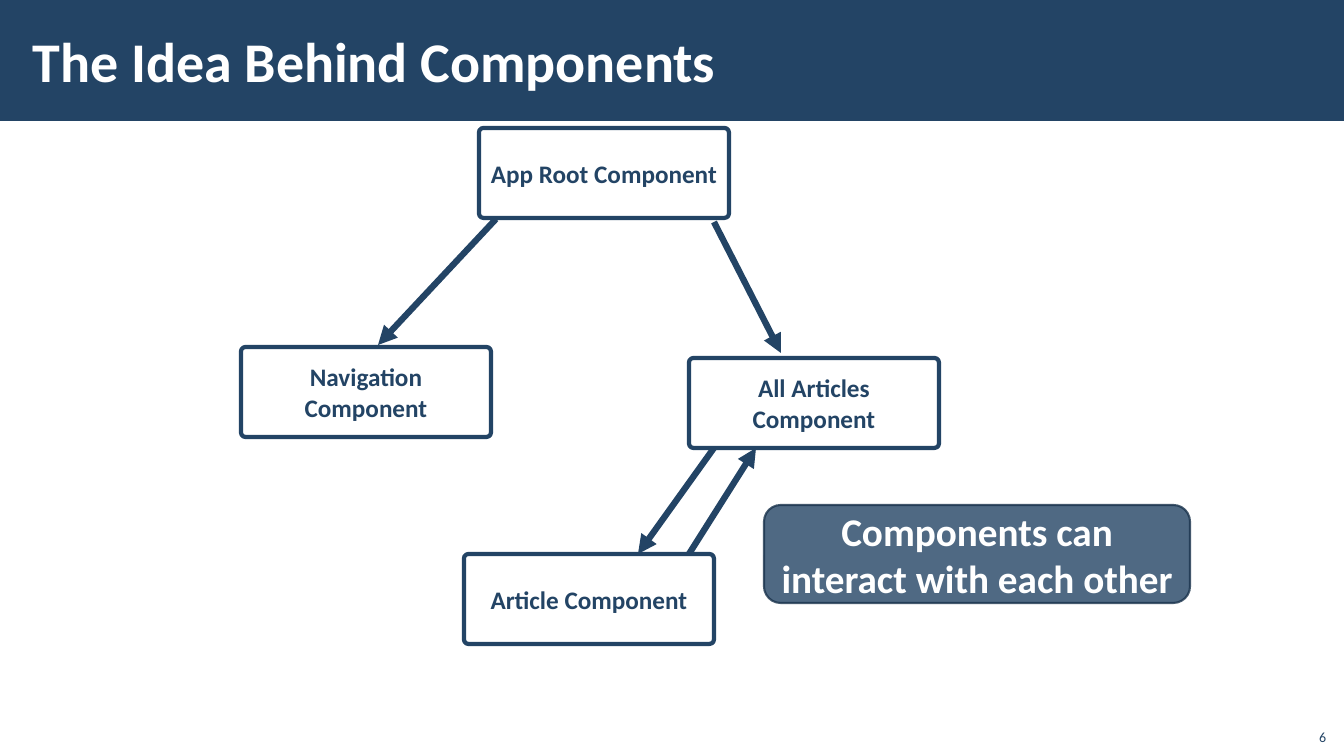
from dataclasses import dataclass

from lxml import etree
from pptx import Presentation, util as u
from pptx.dml.color import RGBColor
from pptx.enum import shapes, text
from pptx.oxml.ns import qn

SCALE = 914400 / 100.8  # EMU per pixel


@dataclass(frozen=True)
class Theme:
    font: str = "Calibri"
    navy: str = "234465"
    edge: str = "1A334C"
    white: str = "FFFFFF"
    title_size: int = 40
    callout_size: int = 28
    node_size: int = 18
    number_size: int = 10


THEME = Theme()
NODE_SIZE = (250, 90)


def px(value):
    return u.Emu(round(value * SCALE))


def box(left, top, width, height):
    return [px(value) for value in (left, top, width, height)]


def set_alpha(color_format, percent):
    color = color_format._xFill.find(".//" + qn("a:srgbClr"))
    etree.SubElement(color, qn("a:alpha"), val=str(percent * 1000))


def paint(fill, color, opacity=100):
    fill.solid()
    fill.fore_color.rgb = RGBColor.from_string(color)
    if opacity < 100:
        set_alpha(fill.fore_color, opacity)


def write(shape, words, size, color, align, anchor=text.MSO_ANCHOR.MIDDLE, bold=True):
    frame = shape.text_frame
    frame.word_wrap = True
    frame.vertical_anchor = anchor
    paragraph = frame.paragraphs[0]
    paragraph.alignment = align
    run = paragraph.add_run()
    run.text = words
    run.font.name = THEME.font
    run.font.size = u.Pt(size)
    run.font.bold = bold
    run.font.color.rgb = RGBColor.from_string(color)
    return frame


def add_panel(slide, kind, place, fill, opacity=100, line=None, width=0,
              line_opacity=100, adjustments=()):
    shape = slide.shapes.add_shape(kind, *box(*place))
    shape.shadow.inherit = False
    paint(shape.fill, fill, opacity)
    if line:
        paint(shape.line.fill, line, line_opacity)
        shape.line.width = u.Pt(width)
    else:
        shape.line.fill.background()
    for index, value in enumerate(adjustments):
        shape.adjustments[index] = value
    return shape


def add_node(slide, words, left, top):
    node = add_panel(slide, shapes.MSO_SHAPE.ROUNDED_RECTANGLE, (left, top, *NODE_SIZE),
                     THEME.white, 25, THEME.navy, 3, adjustments=[0.05])
    write(node, words, THEME.node_size, THEME.navy, text.PP_ALIGN.CENTER)


def add_arrow(slide, start, end):
    points = [px(value) for value in (*start, *end)]
    arrow = slide.shapes.add_connector(shapes.MSO_CONNECTOR.STRAIGHT, *points)
    paint(arrow.line.fill, THEME.navy)
    arrow.line.width = u.Pt(4.5)
    etree.SubElement(arrow.line._get_or_add_ln(), qn("a:tailEnd"), type="triangle")
    etree.SubElement(arrow._element.spPr, qn("a:effectLst"))


def add_label(slide, place, *style, **options):
    return write(slide.shapes.add_textbox(*box(*place)), *style, **options)


def add_header(slide, words):
    add_panel(slide, shapes.MSO_SHAPE.RECTANGLE, (0, 0, 1344, 121), THEME.navy)
    frame = add_label(slide, (21, 11, 1072, 98), words, THEME.title_size,
                      THEME.white, text.PP_ALIGN.LEFT)
    frame.margin_left = frame.margin_right = px(12)
    frame.margin_top = frame.margin_bottom = px(4)


def add_callout(slide, words):
    callout = add_panel(slide, shapes.MSO_SHAPE.ROUNDED_RECTANGULAR_CALLOUT,
                        (764, 505, 426, 98), THEME.navy, 80, THEME.edge, 1.5, 80,
                        adjustments=[-0.5, -0.21, 0.17])
    write(callout, words, THEME.callout_size, THEME.white, text.PP_ALIGN.CENTER)


def main():
    presentation = Presentation()
    presentation.slide_width, presentation.slide_height = px(1344), px(756)
    slide = presentation.slides.add_slide(presentation.slide_layouts[6])

    add_header(slide, "The Idea Behind Components")

    # Component tree
    for words, left, top in [
        ("App Root Component", 479, 128),
        ("Navigation Component", 241, 347),
        ("All Articles Component", 689, 358),
        ("Article Component", 464, 554),
    ]:
        add_node(slide, words, left, top)

    # Parent to child, then the article pair in both directions
    for start, end in [
        ((496, 219), (378, 345)),
        ((714, 222), (781, 353)),
        ((714, 448), (638, 554)),
        ((689, 554), (756, 448)),
    ]:
        add_arrow(slide, start, end)

    add_callout(slide, "Components can interact with each other")

    # Slide number
    add_label(slide, (1295, 718, 41, 32), "6", THEME.number_size, THEME.navy,
              text.PP_ALIGN.RIGHT, anchor=text.MSO_ANCHOR.BOTTOM, bold=False)

    presentation.save("out.pptx")


main()
